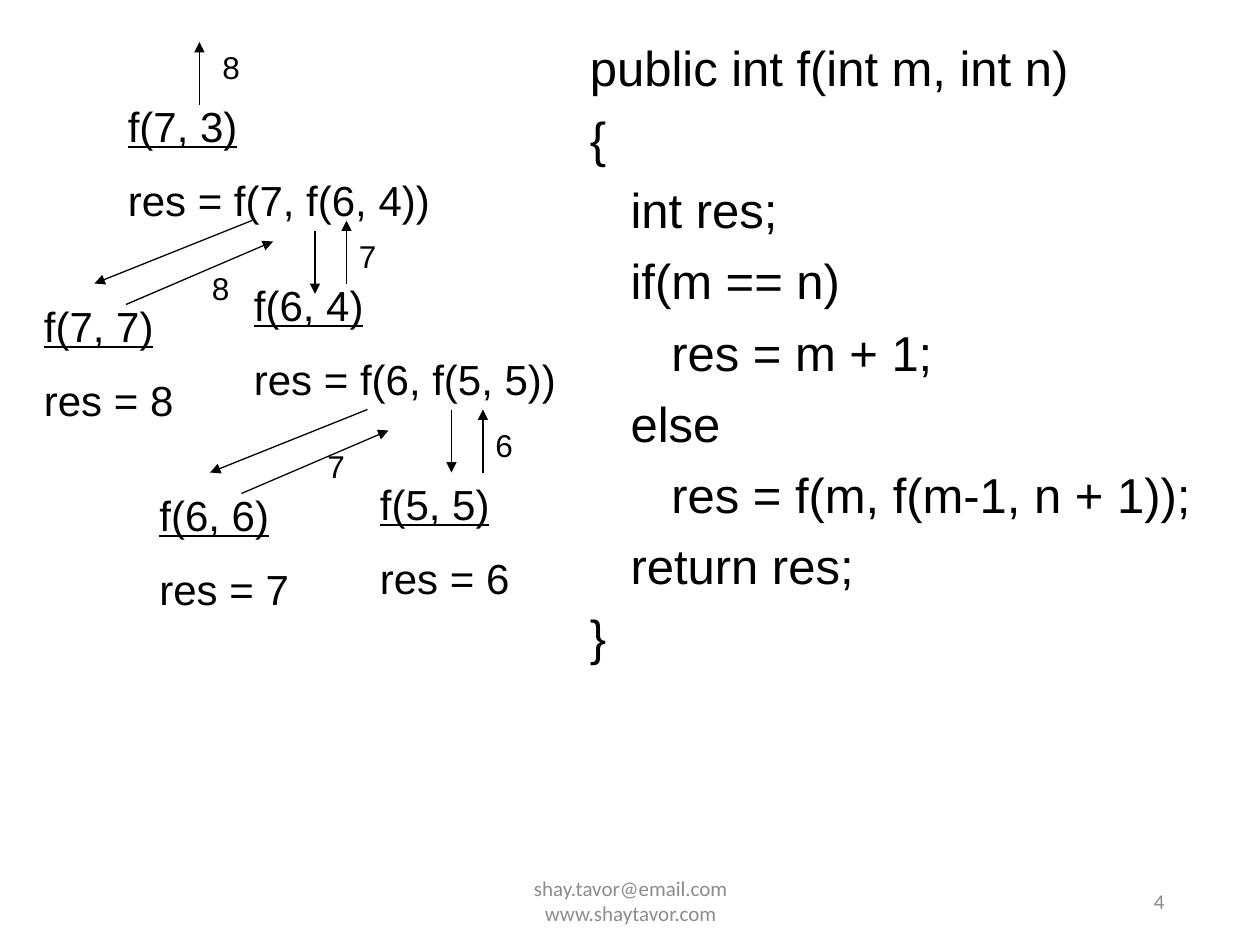
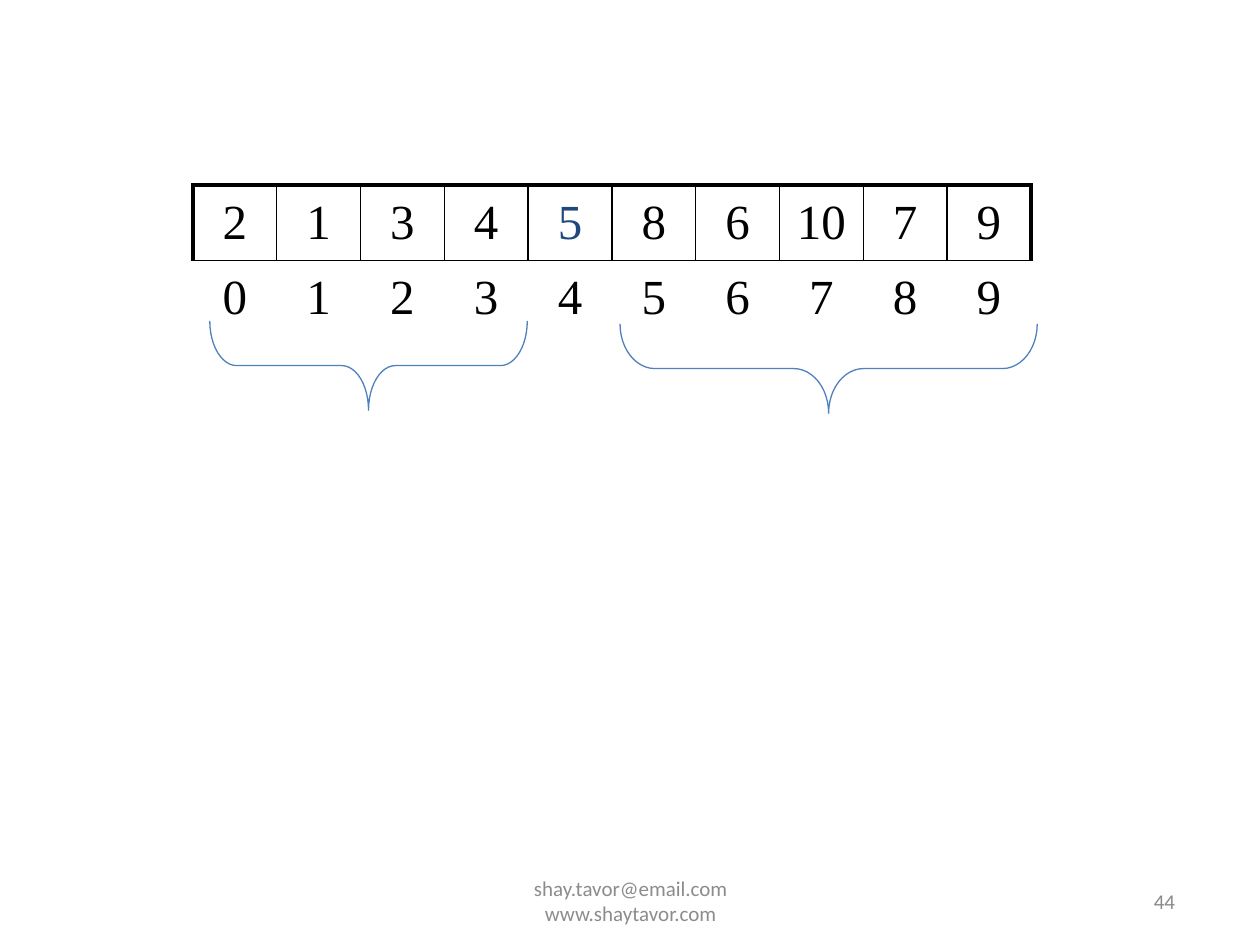
from lxml.etree import SubElement
from pptx import Presentation
from pptx.dml.color import RGBColor
from pptx.enum.shapes import MSO_CONNECTOR, MSO_SHAPE
from pptx.enum.text import MSO_ANCHOR, PP_ALIGN
from pptx.oxml.ns import qn
from pptx.util import Cm, Pt

# Shared look
COLORS = {"ink": "000000", "footer": "8C8C8C", "number": "898989",
          "pivot": "1F497D", "brace": "4F81BD"}
FORMATS = {
    "call": {"size": Pt(24), "name": "Arial"},
    "result": {"size": Pt(18), "name": "Arial"},
    "code": {"size": Pt(28), "name": "Arial"},
    "array": {"size": Pt(28), "name": "Times New Roman"},
    "footer": {"size": Pt(12), "name": "Calibri"},
}
FOOTER = "shay.tavor@email.com\vwww.shaytavor.com"
NO_GRID_STYLE = "{2D5ABB26-0587-4C30-8999-92F81FD0307C}"

# Recursion slide: places in twelfths of an inch
CALLS = [  # left, top, width, call, body
    (11, 9, 43, "f(7, 3)", "res = f(7, f(6, 4))"),
    (23, 26, 34, "f(6, 4)", "res = f(6, f(5, 5))"),
    (35, 45, 20, "f(5, 5)", "res = 6"),
    (14, 46, 20, "f(6, 6)", "res = 7"),
    (3, 28, 20, "f(7, 7)", "res = 8"),
]
RETURNED = [(20, 4, "8"), (33, 22, "7"), (46, 40, "6"), (30, 42, "7"), (19, 25, "8")]
CALL_ARROWS = [(30, 22, 30, 28), (43, 39, 43, 45), (35, 39, 20, 45), (24, 21, 9, 27)]
RETURN_ARROWS = [(19, 10, 19, 4), (33, 27, 33, 21), (46, 45, 46, 39),
                 (23, 47, 37, 41), (12, 29, 26, 23)]
CODE = [
    "public int f(int m, int n)",
    "{",
    "   int res;",
    "   if(m == n)",
    "      res = m + 1;",
    "   else",
    "      res = f(m, f(m-1, n + 1));",
    "   return res;",
    "}",
]

# Partition slide: places in centimetres
ARRAY = [2, 1, 3, 4, 5, 8, 6, 10, 7, 9]
PIVOT_INDEX = 4
ARRAY_LEFT, ARRAY_TOP, CELL_WIDTH, CELL_HEIGHT = 3.89, 3.73, 1.69, 1.52
BRACE_DEPTH = 1.8
BRACES = [(4.23, 6.47, 6.4, 0.3), (12.5, 6.53, 8.41, 0.39)]  # left, top, span, curve


def rgb(color):
    return RGBColor.from_string(COLORS[color])


def grid(steps):
    return Cm(steps * 2.54 / 12)


def style(paragraph, kind, color="ink", **extra):
    for key, value in {**FORMATS[kind], **extra}.items():
        setattr(paragraph.font, key, value)
    paragraph.font.color.rgb = rgb(color)


def add_text(slide, box, lines, kind, color="ink", gap=0):
    frame = slide.shapes.add_textbox(*box).text_frame
    frame.word_wrap = True
    for index, line in enumerate(lines):
        paragraph = frame.add_paragraph() if index else frame.paragraphs[0]
        paragraph.text = line
        style(paragraph, kind, color)
        if index:
            paragraph.space_before = Pt(gap)
    return frame


def add_slide(prs, number):
    slide = prs.slides.add_slide(prs.slide_layouts[6])
    top, height = Cm(17.65), Cm(1.02)
    footer = add_text(slide, (Cm(8.69), top, Cm(8.05), height), [FOOTER], "footer", "footer")
    footer.paragraphs[0].alignment = PP_ALIGN.CENTER
    page = add_text(slide, (Cm(23.01), top, Cm(1.12), height), [number], "footer", "number")
    for frame in (footer, page):
        frame.vertical_anchor = MSO_ANCHOR.MIDDLE
    return slide


def add_arrow(slide, ends):
    arrow = slide.shapes.add_connector(MSO_CONNECTOR.STRAIGHT, *map(grid, ends))
    arrow.line.color.rgb = rgb("ink")
    arrow.line.width = Pt(0.75)
    SubElement(arrow.line._get_or_add_ln(), qn("a:tailEnd"), type="triangle")
    SubElement(arrow._element.spPr, qn("a:effectLst"))


def add_border(cell, side, points):
    line = SubElement(cell._tc.get_or_add_tcPr(), qn(f"a:ln{side}"), w=str(Pt(points)))
    fill = SubElement(line, qn("a:solidFill"))
    SubElement(fill, qn("a:srgbClr"), val=COLORS["ink"])


def build_recursion(prs):
    slide = add_slide(prs, "4")
    for left, top, width, call, body in CALLS:
        box = map(grid, (left, top, width, 13))
        frame = add_text(slide, box, [call, body], "call", gap=13.5)
        frame.paragraphs[0].font.underline = True
    for left, top, value in RETURNED:
        add_text(slide, map(grid, (left, top, 6, 5)), [value], "result")
    for ends in CALL_ARROWS + RETURN_ARROWS:
        add_arrow(slide, ends)
    add_text(slide, map(grid, (55, 3, 61, 64)), CODE, "code", gap=7)


def build_partition(prs):
    slide = add_slide(prs, "44")
    last = len(ARRAY) - 1

    # Values over their indexes
    array = slide.shapes.add_table(
        2, len(ARRAY), Cm(ARRAY_LEFT), Cm(ARRAY_TOP),
        Cm(CELL_WIDTH * len(ARRAY)), Cm(CELL_HEIGHT * 2)).table
    array.first_row = array.horz_banding = False
    array._tbl.tblPr.find(qn("a:tableStyleId")).text = NO_GRID_STYLE
    for index, value in enumerate(ARRAY):
        for row, number in enumerate((value, index)):
            cell = array.cell(row, index)
            cell.text = str(number)
            cell.vertical_anchor = MSO_ANCHOR.MIDDLE
            paragraph = cell.text_frame.paragraphs[0]
            paragraph.alignment = PP_ALIGN.CENTER
            is_pivot = row == 0 and index == PIVOT_INDEX
            style(paragraph, "array", "pivot" if is_pivot else "ink")
            borders = {"T": 1} if row else {
                "L": 1 if index else 2.25, "R": 2.25 if index == last else 1,
                "T": 2.25, "B": 1}
            for side, points in borders.items():
                add_border(cell, side, points)
            cell.fill.background()

    # Braces under the two parts, turned to open upwards
    for left, top, span, curve in BRACES:
        shift = (span - BRACE_DEPTH) / 2
        brace = slide.shapes.add_shape(
            MSO_SHAPE.LEFT_BRACE, Cm(left + shift), Cm(top - shift),
            Cm(BRACE_DEPTH), Cm(span))
        brace.rotation = 270
        brace.adjustments[0] = curve
        brace.shadow.inherit = False
        brace.fill.background()
        brace.line.color.rgb = rgb("brace")
        brace.line.width = Pt(0.75)


def main():
    prs = Presentation()
    prs.slide_width, prs.slide_height = Cm(25.4), Cm(19.05)
    build_recursion(prs)
    build_partition(prs)
    prs.save("out.pptx")


if __name__ == "__main__":
    main()
